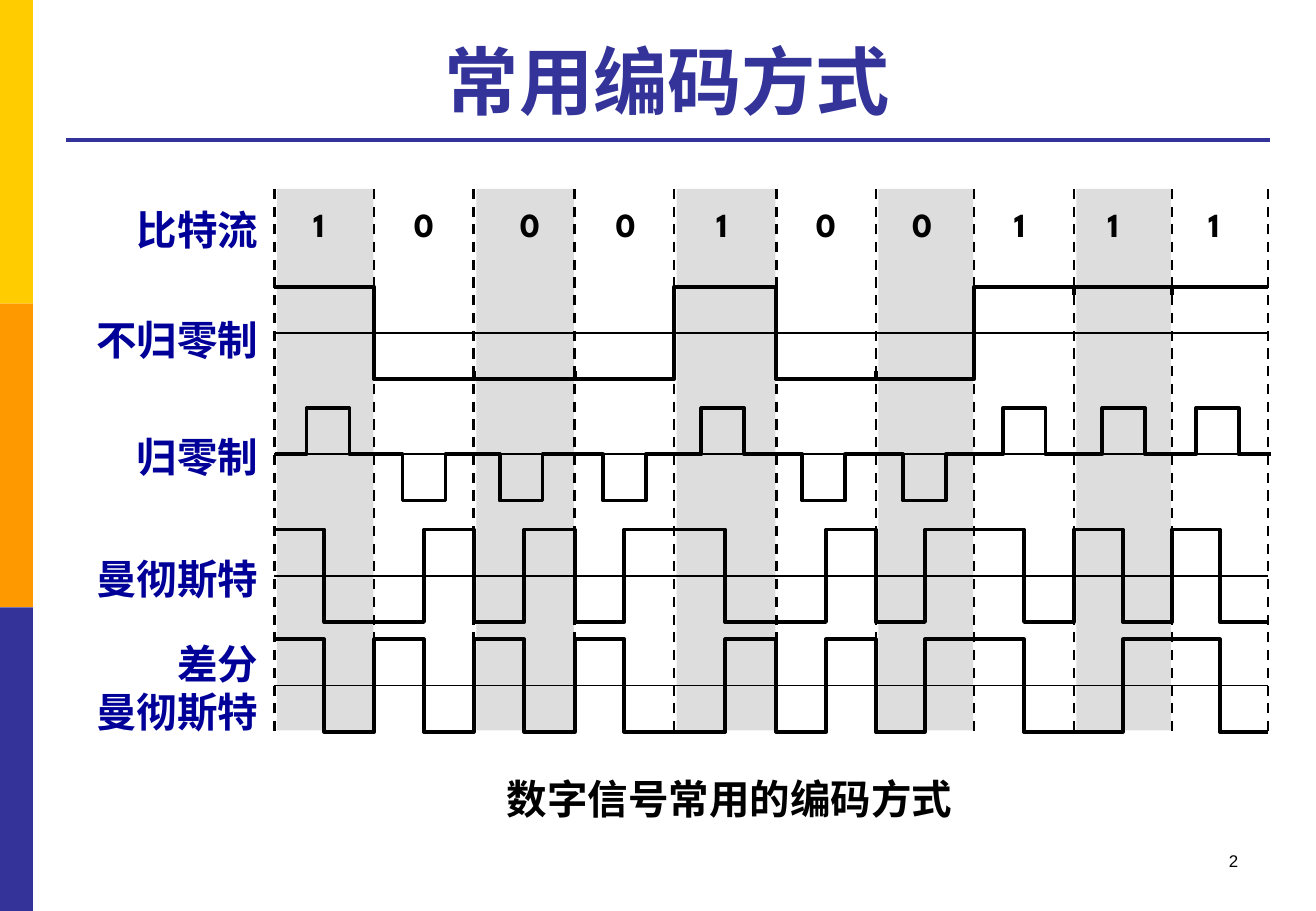
from dataclasses import dataclass
from itertools import pairwise
from typing import Sequence

from lxml import etree
from pptx import Presentation
from pptx import util as u
from pptx.dml.color import RGBColor
from pptx.enum import dml, shapes, text
from pptx.oxml.ns import qn

BLACK, NAVY, INDIGO, GREY = "000000", "000099", "333399", "DDDDDD"
LEFT, RIGHT, BOTTOM = 162.5, 751.5, 433.4
SWING = 27.4


@dataclass(frozen=True)
class Bit:
    value: int
    edge: float
    pulse_x: float
    digit_x: float

    @property
    def level(self) -> int:
        return 1 if self.value else -1


@dataclass(frozen=True)
class Label:
    content: str
    top: float
    height: float = 36


@dataclass(frozen=True)
class Wave:
    mid: float
    levels: Sequence[int]


BITS = [
    Bit(1, 162.7, 162.7, 178.6),
    Bit(0, 221.8, 219.6, 238.3),
    Bit(0, 280.8, 277.2, 301),
    Bit(0, 340.6, 338.4, 357.8),
    Bit(1, 399.6, 396.7, 417.6),
    Bit(0, 460.1, 456.5, 476.6),
    Bit(0, 519.1, 516.2, 533.5),
    Bit(1, 577.4, 575.3, 594),
    Bit(1, 636.5, 634.3, 649.4),
    Bit(1, 694.6, 689.8, 709.2),
]
EDGES = [bit.edge for bit in BITS] + [RIGHT]
LABELS = [
    Label("比特流", 118),
    Label("不归零制", 183),
    Label("归零制", 252.7),
    Label("曼彻斯特", 324.7),
    Label("差分\n曼彻斯特", 375, 65.5),
]
NRZ_MID, RZ_MID, MANCHESTER_MID, DIFFERENTIAL_MID = 197.3, 269.3, 341.3, 406.4

prs = Presentation()
prs.slide_width, prs.slide_height = u.Pt(780), u.Pt(540)
s = prs.slides.add_slide(prs.slide_layouts[6])


def rgb(value: str) -> RGBColor:
    return RGBColor.from_string(value)


def add_rect(x: float, y: float, w: float, h: float, fill: str) -> None:
    sp = s.shapes.add_shape(shapes.MSO_SHAPE.RECTANGLE, u.Pt(x), u.Pt(y), u.Pt(w), u.Pt(h))
    sp.shadow.inherit = False
    sp.fill.solid()
    sp.fill.fore_color.rgb = rgb(fill)
    sp.line.fill.background()


def add_line(x1: float, y1: float, x2: float, y2: float, *, width: float = 2.25,
             color: str = BLACK, dashed: bool = False) -> None:
    sp = s.shapes.add_connector(shapes.MSO_CONNECTOR.STRAIGHT,
                                u.Pt(x1), u.Pt(y1), u.Pt(x2), u.Pt(y2))
    etree.SubElement(sp._element.spPr, qn("a:effectLst"))
    sp.line.width = u.Pt(width)
    sp.line.color.rgb = rgb(color)
    if dashed:
        sp.line.dash_style = dml.MSO_LINE.DASH


def add_text(content: str, x: float, y: float, w: float, h: float, *, size: float,
             color: str = BLACK, font: str = "Arial", bold: bool = True, wrap: bool = True,
             align: text.PP_ALIGN = text.PP_ALIGN.LEFT,
             anchor: text.MSO_ANCHOR = text.MSO_ANCHOR.TOP) -> None:
    tf = s.shapes.add_textbox(u.Pt(x), u.Pt(y), u.Pt(w), u.Pt(h)).text_frame
    tf.word_wrap, tf.vertical_anchor = wrap, anchor
    tf.text = content
    for p in tf.paragraphs:
        p.alignment = align
        for r in p.runs:
            r.font.name, r.font.size, r.font.bold = font, u.Pt(size), bold
            r.font.color.rgb = rgb(color)


def add_steps(xs: Sequence[float], levels: Sequence[int], mid: float) -> None:
    """Draw one outline that holds levels[i] from xs[i] to xs[i + 1]."""
    points = []
    for (x1, x2), level in zip(pairwise(xs), levels):
        y = mid - level * SWING
        if points and points[-1][1] == y:
            points.pop()
        else:
            points.append((x1, y))
        points.append((x2, y))
    start, *rest = [(u.Pt(x), u.Pt(y)) for x, y in points]
    builder = s.shapes.build_freeform(*start)
    builder.add_line_segments(rest, close=False)
    sp = builder.convert_to_shape()
    sp.shadow.inherit = False
    sp.fill.background()
    sp.line.width = u.Pt(2.25)
    sp.line.color.rgb = rgb(BLACK)


def differential_levels() -> list[int]:
    """A 0 flips the level at the cell edge, a 1 keeps it; every cell flips midway."""
    levels, last = [], 1
    for bit in BITS:
        first = last if bit.value else -last
        last = -first
        levels += [first, last]
    return levels


def draw_frame() -> None:
    for i, color in enumerate(("FFCC00", "FF9900", INDIGO)):
        add_rect(0, i * 180, 19.5, 180, color)
    add_line(39, 83, 753, 83, color=INDIGO)
    add_text("常用编码方式", 39, 15, 713.5, 62.5, size=44, color=INDIGO,
             align=text.PP_ALIGN.CENTER, anchor=text.MSO_ANCHOR.BOTTOM)


def draw_waves() -> None:
    half_edges = [EDGES[0]]
    for a, b in pairwise(EDGES):
        half_edges += [(a + b) / 2, b]
    waves = [
        Wave(NRZ_MID, [bit.level for bit in BITS for _ in range(2)]),
        Wave(MANCHESTER_MID, [v for bit in BITS for v in (bit.level, -bit.level)]),
        Wave(DIFFERENTIAL_MID, differential_levels()),
    ]
    for wave in waves:
        add_steps(half_edges, wave.levels, wave.mid)
    for bit in BITS:
        pulse = [bit.pulse_x + dx for dx in (0, 19, 44.4, 63.4)]
        add_steps(pulse, (0, bit.level, 0), RZ_MID)
    for a, b in pairwise(BITS):
        if a.value == b.value:
            y = NRZ_MID - b.level * SWING
            add_line(b.edge, y, b.edge, y + b.level * 5)


def draw_diagram() -> None:
    for a, b in list(pairwise(EDGES))[::2]:
        add_rect(a + 1.5, 112, b - a - 2, 321, GREY)
    for bit in BITS:
        add_text(str(bit.value), bit.digit_x, 117.4, 26.6, 31, size=20,
                 font="League Spartan", wrap=False)
    draw_waves()
    for x in EDGES:
        add_line(x, BOTTOM, x, 110, width=1.5, dashed=True)
    for mid in (NRZ_MID, RZ_MID, MANCHESTER_MID, DIFFERENTIAL_MID):
        add_line(LEFT, mid, RIGHT, mid, width=1)
    for label in LABELS:
        add_text(label.content, 40, label.top, 120, label.height, size=24, color=NAVY,
                 align=text.PP_ALIGN.RIGHT)


draw_frame()
draw_diagram()
add_text("数字信号常用的编码方式", 236, 455, 392.5, 36, size=24, align=text.PP_ALIGN.CENTER)
add_text("2", 558.5, 500.5, 182.5, 36, size=10, bold=False, align=text.PP_ALIGN.RIGHT)
prs.save("out.pptx")
